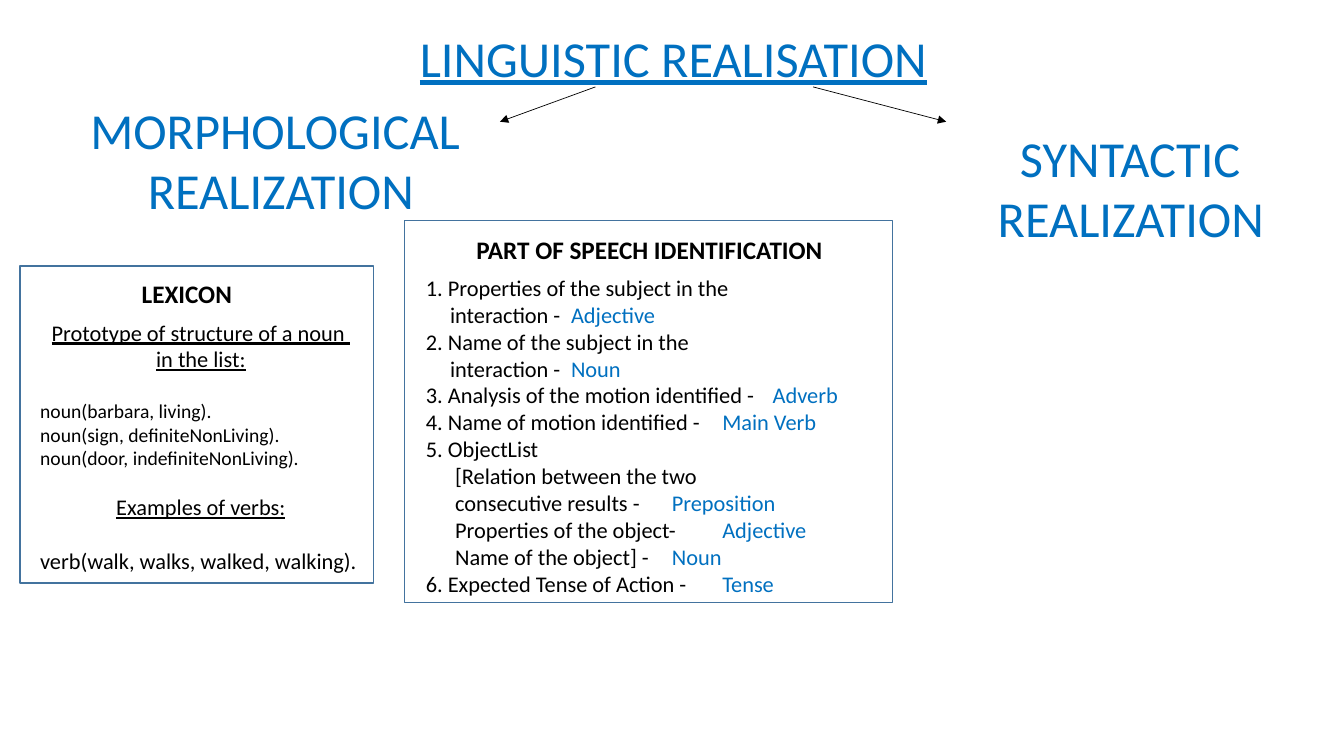
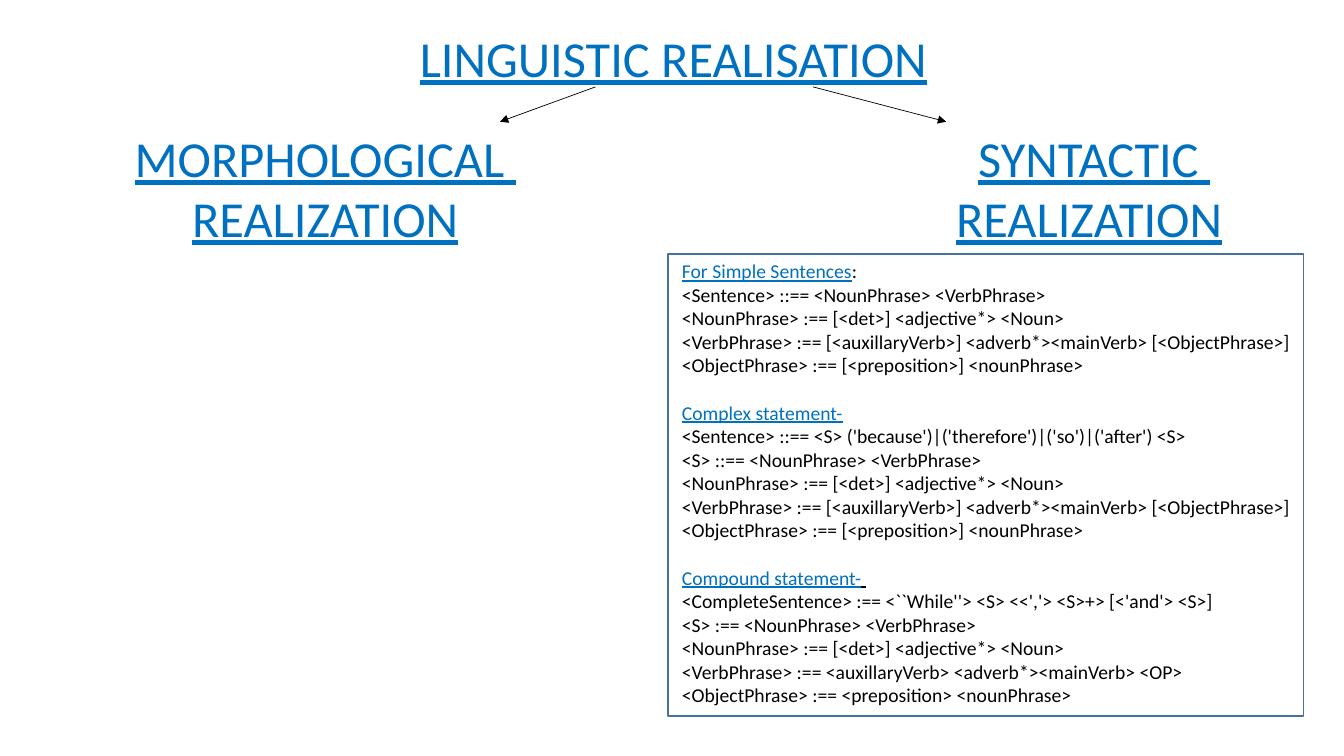
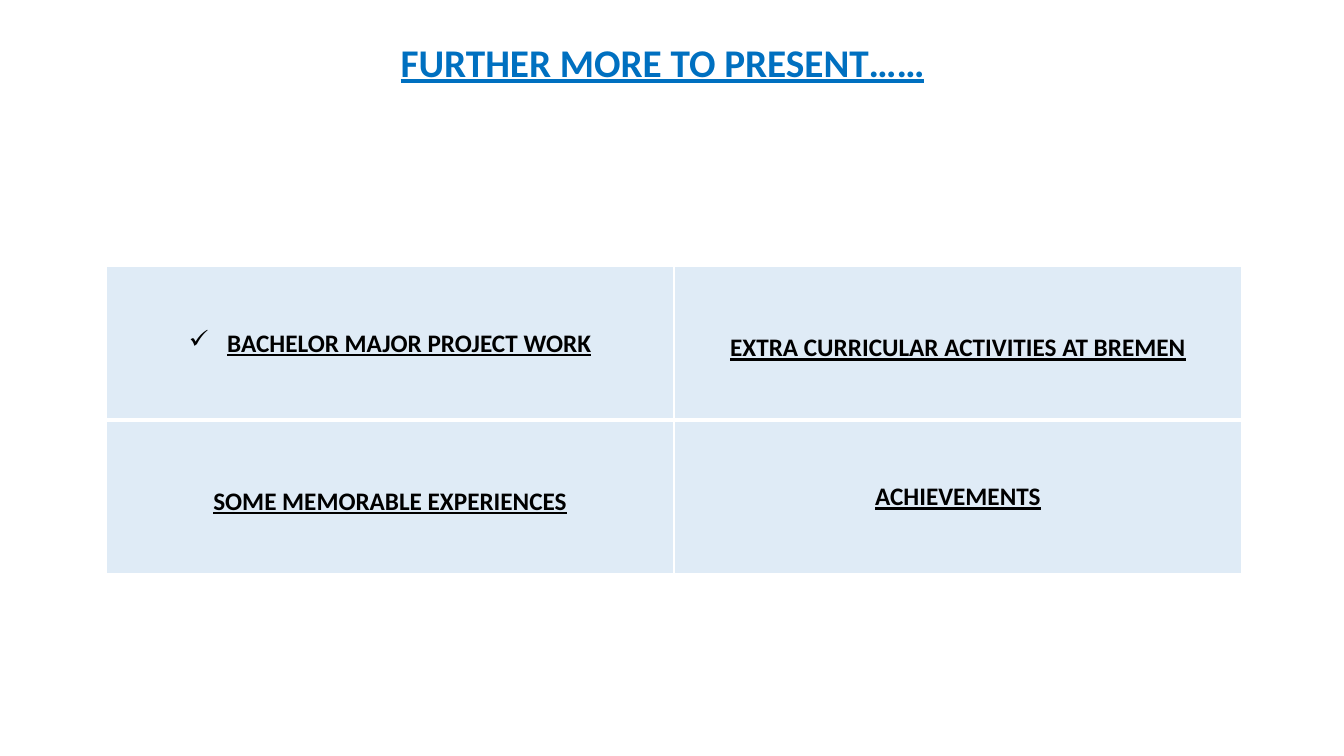
from dataclasses import dataclass
from lxml.etree import SubElement
from pptx import Presentation
from pptx.dml.color import RGBColor
from pptx.enum.shapes import MSO_CONNECTOR, MSO_SHAPE
from pptx.enum.text import MSO_ANCHOR, PP_ALIGN
from pptx.oxml import parse_xml
from pptx.oxml.ns import nsdecls, qn
from pptx.util import Inches, Pt

COLORS = {
    "blue": "0070C0",
    "black": "000000",
    "outline": "43739E",
    "cell": "BDD7EE",
    "border": "FFFFFF",
}
FONT = "Calibri"


@dataclass
class Line:
    text: str
    size: float = 16
    color: str = "black"
    bold: bool = False
    underline: bool = False
    align: PP_ALIGN = PP_ALIGN.LEFT
    gap: float = 0
    indent: float = 0
    hanging: float = 0
    bullet: str = ""
    tab: float = 0
    tab_side: str = "l"
    tail: str = ""
    tail_color: str = "black"
    tail_underline: bool = False


class Board:
    """Places elements on the current slide; lengths are percentages of its size."""

    def __init__(self):
        self.deck = Presentation()
        self.deck.slide_width = Inches(13.33)
        self.deck.slide_height = Inches(7.5)
        self.page = None

    def new_page(self):
        self.page = self.deck.slides.add_slide(self.deck.slide_layouts[6])

    def place(self, *lengths):
        sides = (self.deck.slide_width, self.deck.slide_height)
        return [round(sides[index % 2] * length / 100) for index, length in enumerate(lengths)]

    def color(self, name):
        return RGBColor.from_string(COLORS[name])

    def set_lines(self, frame, lines):
        for index, line in enumerate(lines):
            para = frame.paragraphs[0] if index == 0 else frame.add_paragraph()
            para.alignment = line.align
            if line.gap:
                para.space_before = Pt(line.gap)
            properties = para._p.get_or_add_pPr()
            if line.indent or line.hanging:
                properties.set("marL", str(Inches(line.hanging)))
                properties.set("indent", str(Inches(line.indent - line.hanging)))
            if line.bullet:
                SubElement(properties, qn("a:buChar"), char=line.bullet)
            if line.tab:
                stops = SubElement(properties, qn("a:tabLst"))
                SubElement(stops, qn("a:tab"), pos=str(Inches(line.tab)), algn=line.tab_side)
            font = para.font
            font.name, font.size, font.bold = FONT, Pt(line.size), line.bold
            font.color.rgb = self.color(line.color)
            if not line.tail:
                font.underline = line.underline
            span = para.add_run()
            span.text = line.text
            if line.tail:
                span.font.underline = line.underline
                span = para.add_run()
                span.text = line.tail
                span.font.color.rgb = self.color(line.tail_color)
                span.font.underline = line.tail_underline

    def text(self, area, *lines):
        box = self.page.shapes.add_textbox(*self.place(*area))
        box.text_frame.word_wrap = True
        self.set_lines(box.text_frame, lines)

    def outline(self, area):
        box = self.page.shapes.add_shape(MSO_SHAPE.RECTANGLE, *self.place(*area))
        box.shadow.inherit = False
        box.fill.background()
        box.line.color.rgb = self.color("outline")
        box.line.width = Pt(1)

    def arrow(self, ends):
        arrow = self.page.shapes.add_connector(MSO_CONNECTOR.STRAIGHT, *self.place(*ends))
        arrow.line.color.rgb = self.color("black")
        arrow.line.width = Pt(0.5)
        properties = arrow._element.spPr
        SubElement(properties.find(qn("a:ln")), qn("a:tailEnd"), type="triangle")
        SubElement(properties, qn("a:effectLst"))

    def heading(self, area, *words, underline=False, align=PP_ALIGN.LEFT):
        self.text(area, *[Line(word, 36, "blue", underline=underline, align=align,
                               tab=0.22 if "\t" in word else 0) for word in words])

    def realisation_tree(self, morphological, syntactic, underline):
        self.heading((*morphological, 30.2, 17.5), "MORPHOLOGICAL ", "REALIZATION",
                     underline=underline, align=PP_ALIGN.CENTER)
        self.heading((*syntactic, 22.8, 17.5), "\tSYNTACTIC ", "REALIZATION", underline=underline)
        self.heading((30.5, 2.9, 39.7, 9.5), "LINGUISTIC REALISATION", underline=True)
        for start, end in ((44.3, 37.2), (60.5, 70.4)):
            self.arrow((start, 11.5, end, 16.1))

    def table(self, area, rows):
        frame = self.page.shapes.add_table(len(rows), len(rows[0]), *self.place(*area))
        table = frame.table
        table.first_row = table.horz_banding = False
        for row_index, row in enumerate(rows):
            for column_index, (line, top_margin) in enumerate(row):
                cell = table.cell(row_index, column_index)
                cell.vertical_anchor = MSO_ANCHOR.MIDDLE
                cell.margin_top = Inches(top_margin)
                cell.fill.solid()
                cell.fill.fore_color.rgb = self.color("cell")
                properties = cell._tc.get_or_add_tcPr()
                shade = properties.find(".//" + qn("a:srgbClr"))
                SubElement(shade, qn("a:alpha"), val="48000")
                widths = {"L": 1, "R": 1,
                          "T": 3 if row_index else 1,
                          "B": 1 if row_index == len(rows) - 1 else 3}
                for position, (side, width) in enumerate(widths.items()):
                    properties.insert(position, parse_xml(
                        f'<a:ln{side} {nsdecls("a")} w="{Pt(width)}"><a:solidFill>'
                        f'<a:srgbClr val="{COLORS["border"]}"/></a:solidFill></a:ln{side}>'))
                self.set_lines(cell.text_frame, [line])


def morphological_page(board):
    board.new_page()
    board.realisation_tree((5.8, 12.4), (73.5, 16.1), underline=False)
    centred = {"underline": True, "align": PP_ALIGN.CENTER}
    board.text((2.25, 41.5, 25.4, 35.5),
               Line("Prototype of structure of a noun ", **centred),
               Line("in the list:", **centred),
               Line("noun(barbara, living).", 14, gap=19),
               Line("noun(sign, definiteNonLiving).", 14),
               Line("noun(door, indefiniteNonLiving).", 14),
               Line("Examples of verbs:", gap=17, **centred),
               Line("verb(walk, walks, walked, walking).", gap=19))
    board.text((9.8, 36.1, 9, 5.3), Line("LEXICON", 18, bold=True))
    board.outline((1.5, 35.2, 26.3, 41.9))

    number, continued, nested = 0.06, 0.3, 0.35
    steps = [
        (number, "1. Properties of the subject in the", ""),
        (continued, "interaction -", "Adjective"),
        (number, "2. Name of the subject in the", ""),
        (continued, "interaction -", "Noun"),
        (number, "3. Analysis of the motion identified -", "Adverb"),
        (number, "4. Name of motion identified -", "Main Verb"),
        (number, "5. ObjectList", ""),
        (nested, "[Relation between the two", ""),
        (nested, "consecutive results -", "Preposition"),
        (nested, "Properties of the object-", "Adjective"),
        (nested, "Name of the object] -", "Noun"),
        (number, "6. Expected Tense of Action -", "Tense"),
    ]
    board.text((30.5, 35.6, 36.7, 48.9),
               *[Line(step + "\t" if part else step, indent=indent, tab=4.58, tab_side="r",
                      tail=part, tail_color="blue") for indent, step, part in steps])
    board.outline((30.1, 29.2, 36.3, 50.5))
    board.text((34.7, 30.4, 27.5, 9.5), Line("PART OF SPEECH IDENTIFICATION", 18, bold=True))


def syntactic_page(board):
    board.new_page()
    board.realisation_tree((9.1, 16.1), (70.4, 16.1), underline=True)
    noun_phrase = "<NounPhrase> :== [<det>] <adjective*> <Noun>"
    verb_phrase = "<VerbPhrase> :== [<auxillaryVerb>] <adverb*><mainVerb> [<ObjectPhrase>]"
    object_phrase = "<ObjectPhrase> :== [<preposition>] <nounPhrase>"
    grammars = [
        ("For Simple Sentences", ":", False, [
            "<Sentence> ::== <NounPhrase> <VerbPhrase>",
            noun_phrase, verb_phrase, object_phrase]),
        ("Complex statement-", "", False, [
            "<Sentence> ::== <S> ('because')|('therefore')|('so')|('after') <S>",
            "<S> ::== <NounPhrase> <VerbPhrase>",
            noun_phrase, verb_phrase, object_phrase]),
        ("Compound statement-", " ", True, [
            "<CompleteSentence> :== <``While''> <S> <<','> <S>+> [<'and'> <S>]",
            "<S> :== <NounPhrase> <VerbPhrase>",
            noun_phrase,
            "<VerbPhrase> :== <auxillaryVerb> <adverb*><mainVerb> <OP>",
            "<ObjectPhrase> :== <preposition> <nounPhrase>"]),
    ]
    lines = []
    for title, tail, tail_underline, rules in grammars:
        lines.append(Line(title, 14, "blue", underline=True, align=PP_ALIGN.JUSTIFY,
                          gap=17 if lines else 0, tail=tail, tail_underline=tail_underline))
        lines += [Line(rule, 14, align=PP_ALIGN.JUSTIFY) for rule in rules]
    board.text((50, 33.6, 47, 61.1), *lines)
    board.outline((49.7, 33.6, 47.3, 61.1))


def further_page(board):
    board.new_page()
    strong = {"bold": True, "underline": True, "align": PP_ALIGN.CENTER}
    board.text((28.7, 4.4, 41.2, 13.9), Line("FURTHER MORE TO PRESENT……", 28, "blue", **strong))
    centred, lowered = 0.05, 0.14
    board.table((7.9, 35.3, 84.5, 40.6), [
        [(Line("BACHELOR MAJOR PROJECT WORK", 18, hanging=0.38, bullet="✓", **strong), centred),
         (Line("EXTRA CURRICULAR ACTIVITIES AT BREMEN", 18, **strong), lowered)],
        [(Line("SOME MEMORABLE EXPERIENCES", 18, **strong), lowered),
         (Line("ACHIEVEMENTS", 18, **strong), centred)],
    ])


def main():
    board = Board()
    morphological_page(board)
    syntactic_page(board)
    further_page(board)
    board.deck.save("out.pptx")


if __name__ == "__main__":
    main()
